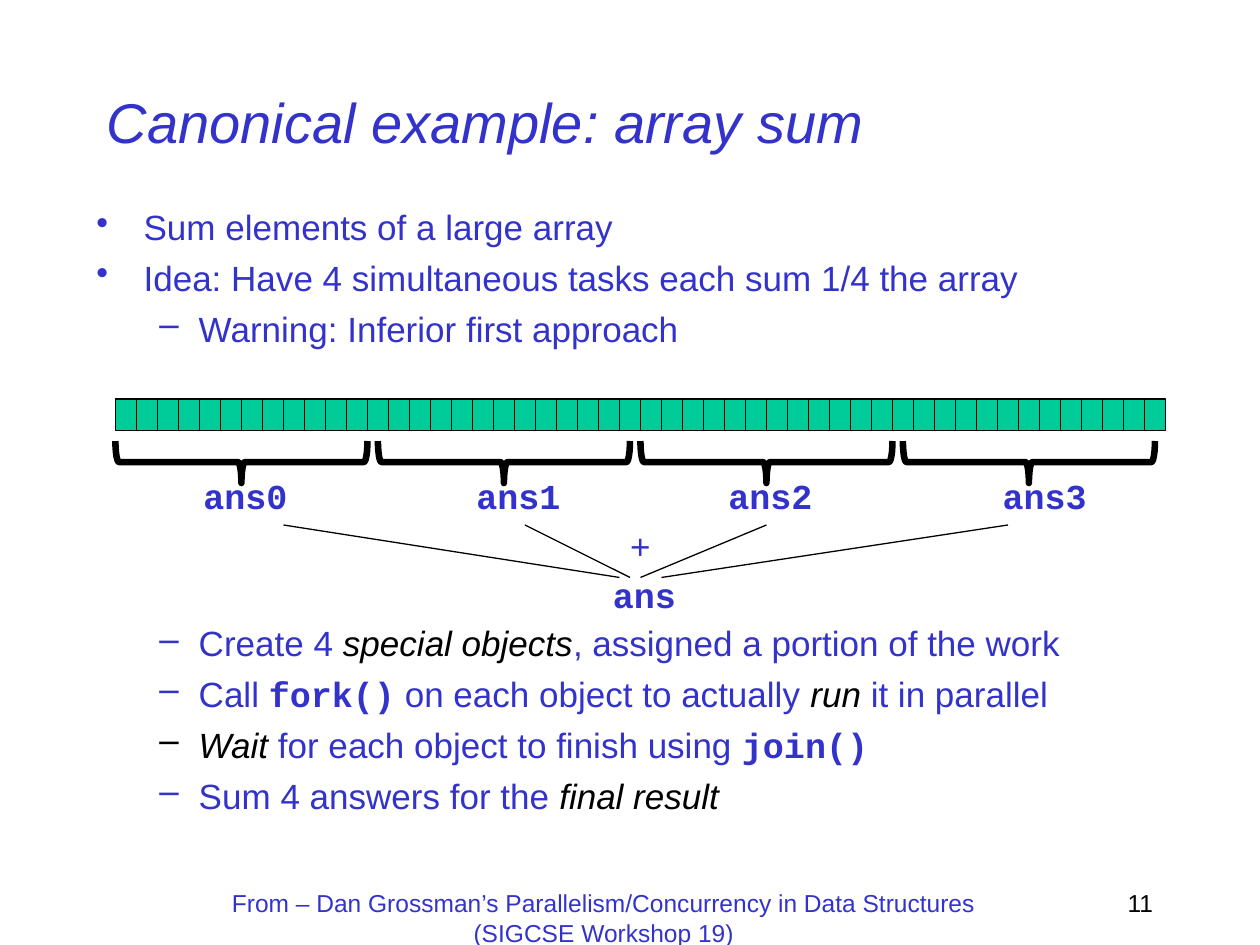
from lxml import etree
from pptx import Presentation
from pptx.dml.color import RGBColor
from pptx.enum.shapes import MSO_CONNECTOR, MSO_SHAPE
from pptx.enum.text import MSO_ANCHOR, PP_ALIGN
from pptx.oxml.ns import qn
from pptx.util import Pt

RECTANGLE, BRACE = MSO_SHAPE.RECTANGLE, MSO_SHAPE.LEFT_BRACE
STRAIGHT = MSO_CONNECTOR.STRAIGHT
TOP, MIDDLE = MSO_ANCHOR.TOP, MSO_ANCHOR.MIDDLE
LEFT, CENTER, RIGHT = PP_ALIGN.LEFT, PP_ALIGN.CENTER, PP_ALIGN.RIGHT

PX = 9525  # EMU per px, 96 px to the inch
COLORS = {"text": "3333CC", "black": "000000", "cell": "00CC99"}
RGB = {name: RGBColor.from_string(value) for name, value in COLORS.items()}

# Run styles: font, bold, italic, colour
PLAIN = ("Arial", False, False, "text")
TITLE = ("Arial", False, True, "text")
STRESS = ("Arial", False, True, "black")
CODE = ("Courier New", True, False, "text")
NUMBER = ("Arial", False, False, "black")

# Bullet levels: character, left margin, hanging indent
BULLETS = [("•", 36, 36), ("–", 78, 30)]

prs = Presentation()
prs.slide_width, prs.slide_height = 960 * PX, 720 * PX
slide = prs.slides.add_slide(prs.slide_layouts[6])
shapes = slide.shapes


def add_text(box, paragraphs, size, align=LEFT, anchor=TOP):
    """Fill a new text box; each paragraph is (bullet level or None, runs)."""
    frame = shapes.add_textbox(*(n * PX for n in box)).text_frame
    frame.word_wrap = True
    frame.vertical_anchor = anchor
    for index, (level, runs) in enumerate(paragraphs):
        paragraph = frame.paragraphs[0] if index == 0 else frame.add_paragraph()
        paragraph.alignment = align
        if index:
            paragraph.space_before = Pt(5)
        if level is not None:
            char, margin, hanging = BULLETS[level]
            paragraph.level = level
            props = paragraph._p.get_or_add_pPr()
            props.set("marL", str(margin * PX))
            props.set("indent", str(-hanging * PX))
            etree.SubElement(props, qn("a:buChar")).set("char", char)
        for text, (font, bold, italic, color) in runs:
            run = paragraph.add_run()
            run.text = text
            run.font.name, run.font.size = font, Pt(size)
            run.font.bold, run.font.italic = bold, italic
            run.font.color.rgb = RGB[color]


def add_outlined(kind, box, line_width):
    shape = shapes.add_shape(kind, *(n * PX for n in box))
    shape.shadow.inherit = False
    shape.line.color.rgb = RGB["black"]
    shape.line.width = Pt(line_width)
    return shape


# Title and bullets
add_text((72, 32, 816, 120), [(None, [("Canonical example: array sum", TITLE)])],
         32, anchor=MIDDLE)
add_text((64, 152, 816, 120), [
    (0, [("Sum elements of a large array", PLAIN)]),
    (0, [("Idea: Have 4 simultaneous tasks each sum 1/4 the array", PLAIN)]),
    (1, [("Warning: Inferior first approach", PLAIN)]),
], 20)
add_text((64, 469, 816, 155), [
    (1, [("Create 4 ", PLAIN), ("special objects", STRESS),
         (", assigned a portion of the work", PLAIN)]),
    (1, [("Call ", PLAIN), ("fork()", CODE), (" on each object to actually ", PLAIN),
         ("run", STRESS), (" it in parallel", PLAIN)]),
    (1, [("Wait", STRESS), (" for each object to finish using ", PLAIN),
         ("join()", CODE)]),
    (1, [("Sum 4 answers for the ", PLAIN), ("final result", STRESS)]),
], 20)

# Array cells
for i in range(50):
    cell = add_outlined(RECTANGLE, (88 + 16 * i, 304, 16, 24), 0.75)
    cell.fill.solid()
    cell.fill.fore_color.rgb = RGB["cell"]

# One brace per quarter, turned to open upwards
for i in range(4):
    brace = add_outlined(BRACE, (168 + 200 * i, 256, 32, 192), 3.75)
    brace.fill.background()
    brace.rotation = 270

# Partial answers, the sum sign and the total
answers = [("ans0", CODE, 187, 357), ("ans1", CODE, 395, 357),
           ("ans2", CODE, 587, 357), ("ans3", CODE, 796, 357),
           ("+", PLAIN, 488, 395), ("ans", CODE, 491, 432)]
for label, style, center, top in answers:
    add_text((center - 50, top, 100, 40), [(None, [(label, style)])], 20, CENTER)

# Lines from the partial answers to the total
for start, end in [(216, 472), (400, 480), (584, 488), (768, 504)]:
    link = shapes.add_connector(STRAIGHT, start * PX, 400 * PX, end * PX, 440 * PX)
    link.line.color.rgb = RGB["black"]
    link.line.width = Pt(0.75)
    etree.SubElement(link._element.spPr, qn("a:effectLst"))

# Footer
add_text((160, 672, 600, 48), [(None, [(
    "From – Dan Grossman’s Parallelism/Concurrency in Data Structures "
    "(SIGCSE Workshop 19)", PLAIN)])], 14, CENTER)
add_text((688, 672, 200, 48), [(None, [("11", NUMBER)])], 14, RIGHT)

prs.save("out.pptx")
